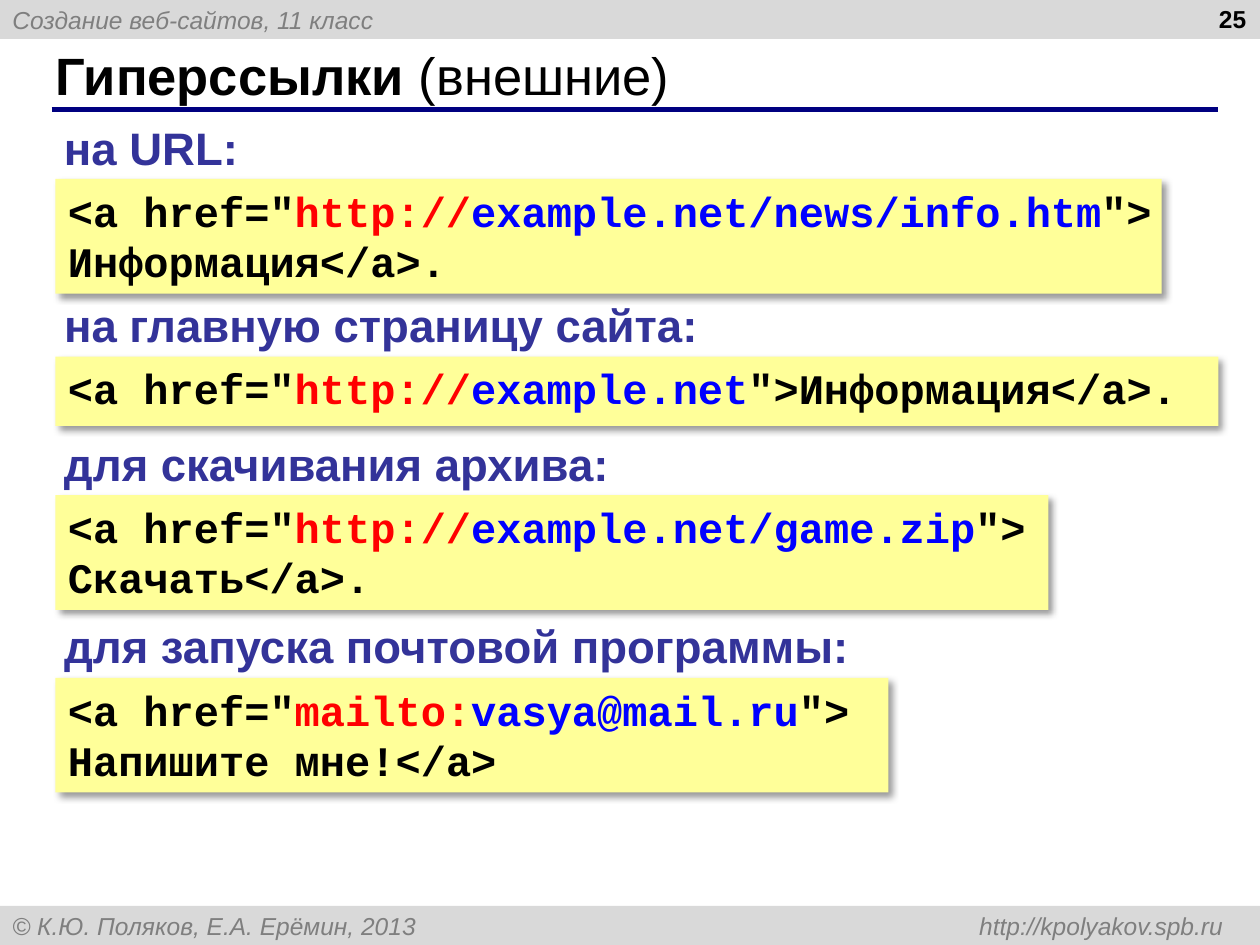
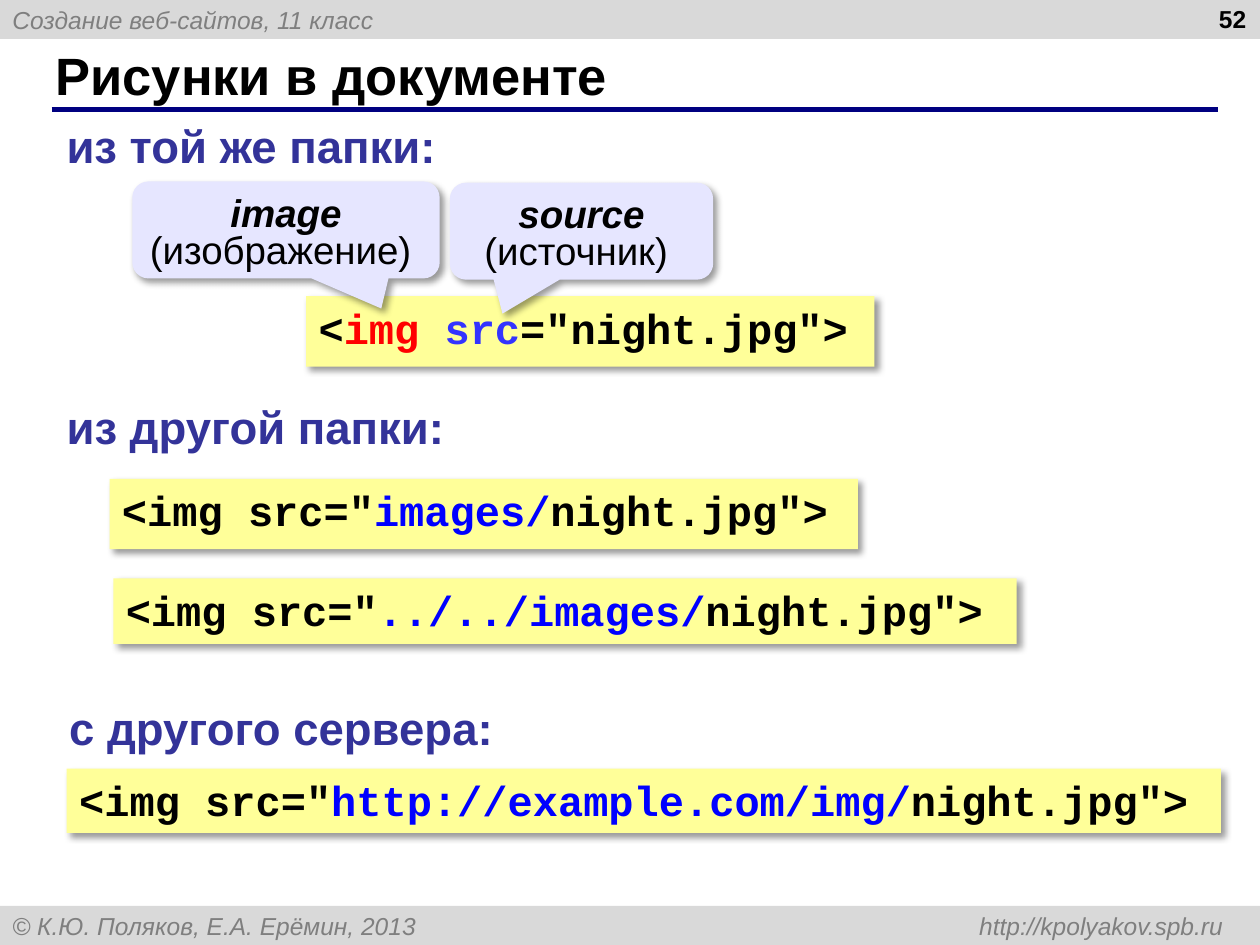
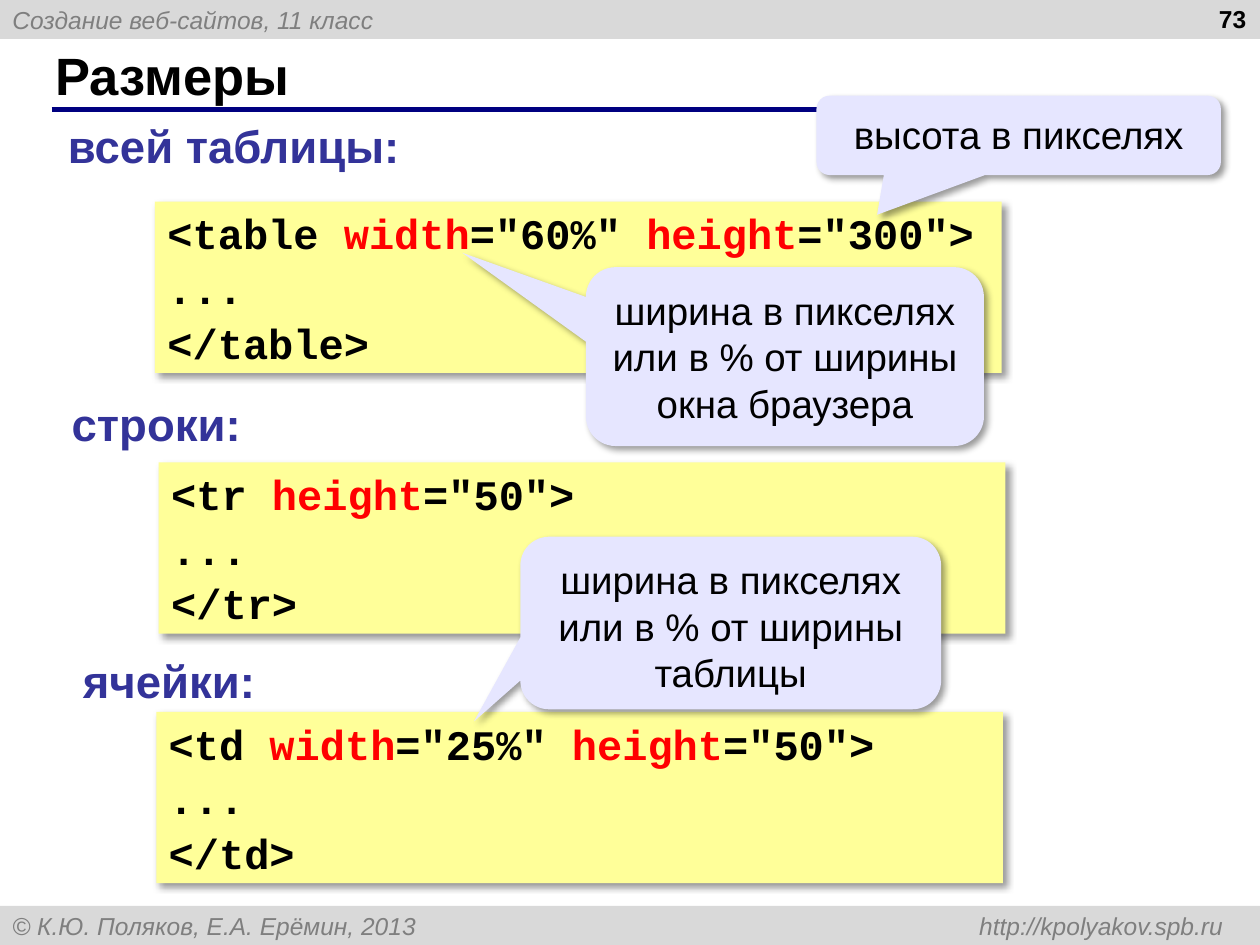
from lxml.etree import SubElement
from pptx import Presentation
from pptx.dml.color import RGBColor
from pptx.enum.shapes import MSO_CONNECTOR, MSO_SHAPE
from pptx.enum.text import MSO_ANCHOR, MSO_AUTO_SIZE, PP_ALIGN
from pptx.oxml.ns import qn
from pptx.util import Inches, Pt

COLUMNS, ROWS = 100, 75
CELL = Inches(0.1)

BLACK, RED, BLUE, VIOLET = "000000", "FF0000", "0000FF", "3333FF"
BAND, BAND_TEXT, RULE, LABEL = "D9D9D9", "7F7F7F", "000080", "333399"
CODE_FILL, CALLOUT_FILL = "FFFF99", "E6E6FF"
SANS, MONO = "Arial", "Courier New"

BAND_ROWS = 3.1
LABEL_ROWS = 5.3
BREAK = "\n"


def rgb(color):
    return RGBColor.from_string(color)


def cells(*lengths):
    return [round(n * CELL) for n in lengths]


def set_font(font, size, color=BLACK, name=SANS, bold=False, italic=False):
    font.size, font.name, font.bold, font.italic = Pt(size), name, bold, italic
    font.color.rgb = rgb(color)


def add_runs(p, runs):
    """Each run is plain text, BREAK, or (text, colour)."""
    for run in runs:
        if run == BREAK:
            p.add_line_break()
            continue
        text, color = run if isinstance(run, tuple) else (run, None)
        r = p.add_run()
        r.text = text
        if color:
            r.font.color.rgb = rgb(color)


def add_box(s, at, fill, preset=MSO_SHAPE.RECTANGLE, shadow=True):
    sp = s.shapes.add_shape(preset, *cells(*at))
    sp.fill.solid()
    sp.fill.fore_color.rgb = rgb(fill)
    sp.line.fill.background()
    sp.shadow.inherit = False
    if shadow:
        effects = sp._element.spPr.find(qn("a:effectLst"))
        outer = SubElement(effects, qn("a:outerShdw"), blurRad=str(Pt(4)), dist=str(Pt(3)),
                           dir=str(45 * 60000), algn="tl", rotWithShape="0")
        color = SubElement(outer, qn("a:srgbClr"), val=BLACK)
        SubElement(color, qn("a:alpha"), val="40000")
    sp.text_frame.word_wrap = True
    return sp


def add_band(s, top, text, tab=None):
    tf = add_box(s, (0, top, COLUMNS, BAND_ROWS), BAND, shadow=False).text_frame
    tf.vertical_anchor = MSO_ANCHOR.MIDDLE
    p = tf.paragraphs[0]
    p.alignment = PP_ALIGN.LEFT
    if tab:
        tabs = SubElement(p._p.get_or_add_pPr(), qn("a:tabLst"))
        SubElement(tabs, qn("a:tab"), pos=str(cells(tab)[0]), algn="r")
    set_font(p.font, 14, BAND_TEXT, italic=True)
    add_runs(p, [text])


def add_text(s, at, text, size, color=BLACK, align=PP_ALIGN.LEFT):
    tf = s.shapes.add_textbox(*cells(*at)).text_frame
    tf.word_wrap = True
    p = tf.paragraphs[0]
    p.alignment = align
    set_font(p.font, size, color, bold=True)
    add_runs(p, [text])
    return tf


def add_label(s, x, y, w, text):
    tf = add_text(s, (x, y, w, LABEL_ROWS), text, 26, LABEL)
    tf.word_wrap = False
    tf.auto_size = MSO_AUTO_SIZE.SHAPE_TO_FIT_TEXT


def add_code(s, at, *lines, gap=0):
    tf = add_box(s, at, CODE_FILL).text_frame
    tf.margin_right = 0
    tf.vertical_anchor = MSO_ANCHOR.TOP
    for i, runs in enumerate(lines):
        p = tf.add_paragraph() if i else tf.paragraphs[0]
        p.alignment = PP_ALIGN.LEFT
        if i and gap:
            p.space_before = Pt(gap)
        set_font(p.font, 24, name=MONO, bold=True)
        add_runs(p, runs)


def add_callout(s, at, tip, text, term=None):
    """tip is the pointer's offset from the centre, as shares of the size."""
    sp = add_box(s, at, CALLOUT_FILL, MSO_SHAPE.ROUNDED_RECTANGULAR_CALLOUT)
    sp.adjustments[0], sp.adjustments[1] = tip
    tf = sp.text_frame
    tf.margin_top = Inches(0.09)
    tf.vertical_anchor = MSO_ANCHOR.TOP
    p = tf.paragraphs[0]
    p.alignment = PP_ALIGN.CENTER
    if term:
        p.line_spacing = 0.8
    set_font(p.font, 22)
    add_runs(p, [term, BREAK, text] if term else [text])
    if term:
        p.runs[0].font.bold = p.runs[0].font.italic = True


def add_slide(prs, number, title, remark=None):
    s = prs.slides.add_slide(prs.slide_layouts[5])
    add_band(s, 0, "Создание веб-сайтов, 11 класс")
    add_band(s, ROWS - BAND_ROWS,
             "© К.Ю. Поляков, Е.А. Ерёмин, 2013 \thttp://kpolyakov.spb.ru", tab=96.1)
    rule = s.shapes.add_connector(MSO_CONNECTOR.STRAIGHT, *cells(4.1, 8.7, 96.7, 8.7))
    rule.line.color.rgb = rgb(RULE)
    rule.line.width = Pt(3)
    SubElement(rule._element.spPr, qn("a:effectLst"))

    head = s.shapes.title
    head.left, head.top, head.width, head.height = cells(3.4, 3.3, 91.6, 5.2)
    tf = head.text_frame
    tf.auto_size = MSO_AUTO_SIZE.NONE
    tf.vertical_anchor = MSO_ANCHOR.MIDDLE
    p = tf.paragraphs[0]
    p.alignment = PP_ALIGN.LEFT
    set_font(p.font, 30, bold=True)
    add_runs(p, [title, remark] if remark else [title])
    if remark:
        p.runs[1].font.bold = False
    add_text(s, (76.6, -0.2, 23.3, 5.2), str(number), 14, align=PP_ALIGN.RIGHT)
    return s


def links_slide(prs):
    s = add_slide(prs, 25, "Гиперссылки ", "(внешние)")
    start, http = '<a href="', ("http://", RED)
    examples = [
        (9, 16, "на URL:", 87.8,
         [[start, http, ("example.net/news/info.htm", BLUE), '">'], ["Информация</a>."]]),
        (23.1, 52.9, "на главную страницу сайта:", 92.3,
         [[start, http, ("example.net", BLUE), '">Информация</a>.']]),
        (34.1, 45.7, "для скачивания архива:", 78.8,
         [[start, http, ("example.net/game.zip", BLUE), '">'], ["Скачать</a>."]]),
        (48.6, 67.1, "для запуска почтовой программы:", 66.1,
         [[start, ("mailto:", RED), ("vasya@mail.ru", BLUE), '">', BREAK,
           "Напишите мне!</a>"]]),
    ]
    for y, label_w, label, code_w, lines in examples:
        rows = len(lines) + sum(runs.count(BREAK) for runs in lines)
        add_label(s, 4.1, y, label_w, label)
        add_code(s, (4.4, y + 5.2, code_w, 1.9 + 3.6 * rows), *lines)


def images_slide(prs):
    s = add_slide(prs, 52, "Рисунки в документе")
    add_label(s, 4.3, 8.9, 31.4, "из той же папки:")
    add_label(s, 4.3, 31.2, 32.1, "из другой папки:")
    add_label(s, 4.5, 55.1, 35.9, "с другого сервера:")
    add_code(s, (24.3, 23.5, 45.1, 5.6),
             ["<", ("img ", RED), ("src", VIOLET), '="night.jpg">'])
    for at, folder in [((8.7, 38, 59.4, 5.6), "images/"),
                       ((9, 45.9, 71.7, 5.2), "../../images/"),
                       ((5.3, 61, 91.6, 5.1), "http://example.com/img/")]:
        add_code(s, at, ['<img src="', (folder, BLUE), 'night.jpg">'])
    add_callout(s, (10.5, 14.4, 24.4, 7.7), (0.31, 0.81), "(изображение) ", "image")
    add_callout(s, (35.7, 14.5, 20.9, 7.7), (-0.3, 0.85), "(источник) ", "source")


def sizes_slide(prs):
    s = add_slide(prs, 73, "Размеры")
    width, height = ("width", RED), ("height", RED)
    examples = [
        ((4.4, 8.9, 28.5), "всей таблицы:", (12.3, 16), "table",
         [width, '="60%" ', height, '="300">']),
        ((4.7, 30.9, 15.8), "строки:", (12.6, 36.7), "tr", [height, '="50">']),
        ((5.6, 51.3, 15.8), "ячейки:", (12.4, 56.5), "td",
         [width, '="25%" ', height, '="50">']),
    ]
    for label_at, label, corner, tag, attributes in examples:
        add_label(s, *label_at, label)
        add_code(s, (*corner, 67.2, 13.6),
                 [f"<{tag} ", *attributes], ["..."], [f"</{tag}>"], gap=2.4)
    add_callout(s, (46.5, 21.2, 31.6, 14.2), (-0.81, -0.58),
                "ширина в пикселях или в % от ширины окна браузера")
    add_callout(s, (64.8, 7.6, 32.1, 6.3), (-0.35, 1), "высота в пикселях")
    add_callout(s, (41.3, 42.6, 33.4, 13.7), (-0.61, 0.57),
                "ширина в пикселях или в % от ширины таблицы")


def main():
    prs = Presentation()
    prs.slide_width, prs.slide_height = cells(COLUMNS, ROWS)
    links_slide(prs)
    images_slide(prs)
    sizes_slide(prs)
    prs.save("out.pptx")


if __name__ == "__main__":
    main()
